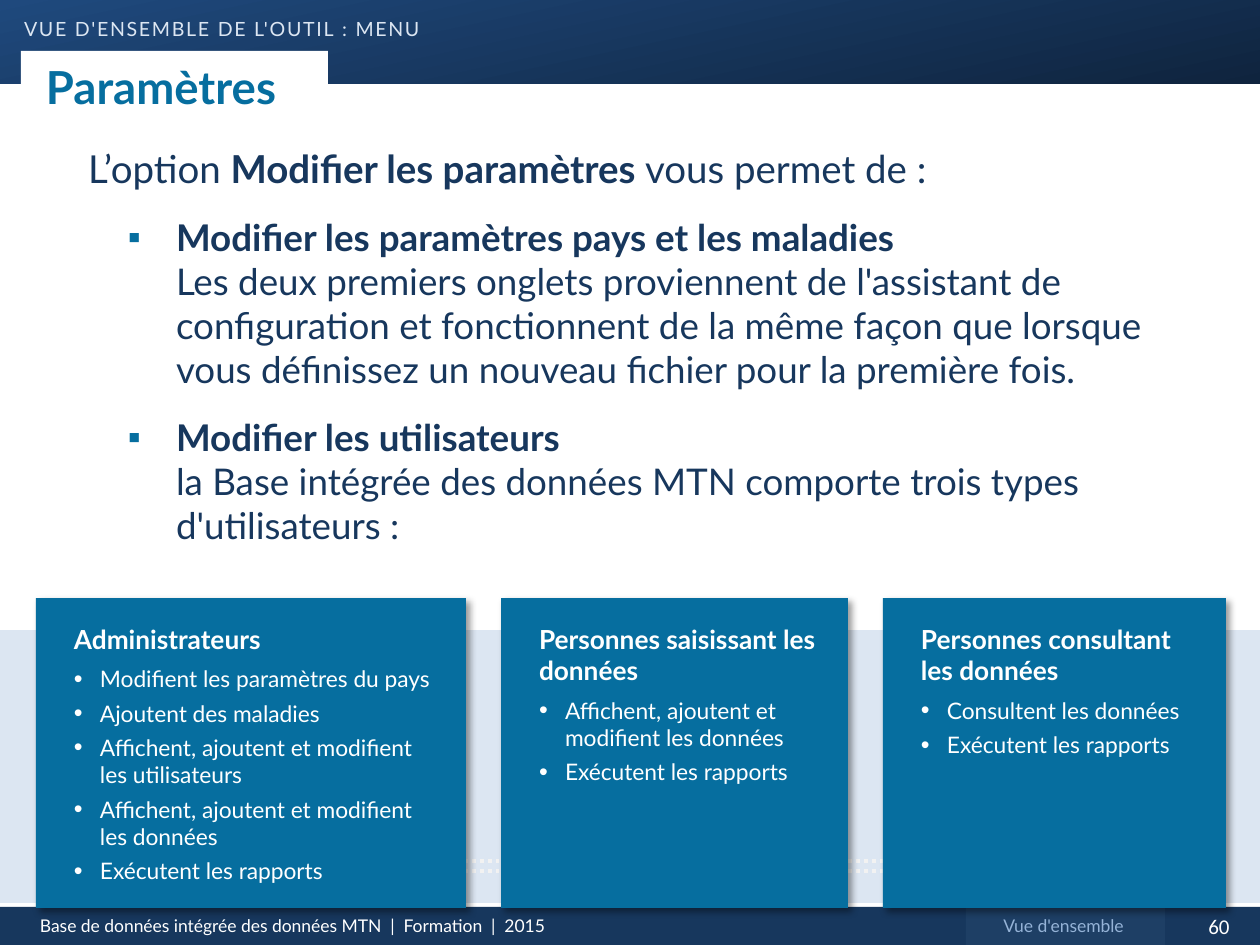
"""Build the "Paramètres" training slide."""
import pptx
import pptx.dml.color
import pptx.enum.dml
import pptx.enum.shapes
import pptx.enum.text
import pptx.oxml
import pptx.oxml.ns
import pptx.util
from lxml import etree

RGB = pptx.dml.color.RGBColor
SHAPE = pptx.enum.shapes.MSO_SHAPE
ALIGN = pptx.enum.text.PP_ALIGN
ANCHOR = pptx.enum.text.MSO_ANCHOR
Pt = pptx.util.Pt

WHITE = RGB(0xFF, 0xFF, 0xFF)
NAVY = RGB(0x17, 0x37, 0x5D)
BANNER_LIGHT = RGB(0x1F, 0x49, 0x7D)
BANNER_DARK = RGB(0x0F, 0x24, 0x3E)
SECTION_TAB = RGB(0x1E, 0x3F, 0x65)
SECTION_TEXT = RGB(0x95, 0xB3, 0xD7)
PALE = RGB(0xDC, 0xE6, 0xF2)
DOTS = RGB(0xF2, 0xF2, 0xF2)
TEAL = RGB(0x06, 0x6E, 0x9F)

CHAPTER = "vue d'ensemble de l'outil : menu"
TITLE = "Paramètres"
FOOTER = "Base de données intégrée des données MTN  |  Formation  |  2015"
SECTION = "Vue d'ensemble"
PAGE = "60"
INTRO = [("L’option ", False), ("Modifier les paramètres ", True), ("vous permet de\u00a0:", False)]
OPTIONS = [
    ("Modifier les paramètres pays et les maladies\n",
     "Les deux premiers onglets proviennent de l'assistant de configuration et fonctionnent "
     "de la même façon que lorsque vous définissez un nouveau fichier pour la première fois."),
    ("Modifier les utilisateurs \n",
     "la Base intégrée des données MTN comporte trois types d'utilisateurs\u00a0:"),
]
USERS = [
    ("Administrateurs", 430, [
        "Modifient les paramètres du pays",
        "Ajoutent des maladies",
        "Affichent, ajoutent et modifient \nles utilisateurs",
        "Affichent, ajoutent et modifient \nles données",
        "Exécutent les rapports"]),
    ("Personnes saisissant les données", 347, [
        "Affichent, ajoutent et modifient les données",
        "Exécutent les rapports"]),
    ("Personnes consultant les données", 343, [
        "Consultent les données",
        "Exécutent les rapports"]),
]
CARD_LEFT, CARD_TOP, CARD_HEIGHT, CARD_GAP = 36, 598, 310, 35


def px(length):
    return round(length * 914400 / 126)


def add_xml(parent, tag, **attributes):
    child = etree.SubElement(parent, pptx.oxml.ns.qn(tag))
    for key, value in attributes.items():
        child.set(key, str(value))
    return child


def add_block(slide, box, color=None, kind=SHAPE.RECTANGLE):
    block = slide.shapes.add_shape(kind, *map(px, box))
    block.shadow.inherit = False
    block.line.fill.background()
    if color is not None:
        block.fill.solid()
        block.fill.fore_color.rgb = color
    return block


def set_frame(frame, insets=(13, 6, 13, 6), wrap=True, anchor=ANCHOR.TOP):
    left, top, right, bottom = map(px, insets)
    settings = {"margin_left": left, "margin_top": top, "margin_right": right,
                "margin_bottom": bottom, "word_wrap": wrap, "vertical_anchor": anchor}
    for key, value in settings.items():
        setattr(frame, key, value)
    return frame


def add_text(frame, runs, size, color, font="Lato", align=ALIGN.LEFT, before=0, after=0,
             margin=0, indent=0, bullet=None, bullet_color=None, bullet_size=None):
    first = frame.paragraphs[0]
    paragraph = frame.add_paragraph() if first.runs else first
    spacing = {"alignment": align, "space_before": Pt(before), "space_after": Pt(after)}
    for key, value in spacing.items():
        setattr(paragraph, key, value)
    properties = paragraph._p.get_or_add_pPr()
    properties.set("marL", str(px(margin)))
    properties.set("indent", str(px(indent)))
    if bullet_color is not None:
        add_xml(add_xml(properties, "a:buClr"), "a:srgbClr", val=bullet_color)
    if bullet_size:
        add_xml(properties, "a:buSzPct", val=bullet_size * 1000)
    if bullet:
        add_xml(properties, "a:buFont", typeface="Arial")
        add_xml(properties, "a:buChar", char=bullet)
    for text, bold in runs:
        for number, line in enumerate(text.split("\n")):
            if number:
                paragraph.add_line_break()
            if line:
                run = paragraph.add_run()
                run.text = line
                style = {"size": Pt(size), "name": font, "bold": bold}
                for key, value in style.items():
                    setattr(run.font, key, value)
                run.font.color.rgb = color
    return paragraph


def add_label(slide, box, text, size, color, **style):
    frame = set_frame(slide.shapes.add_textbox(*map(px, box)).text_frame)
    add_text(frame, [(text, False)], size, color, **style)
    return frame


def add_master_bands(slide):
    banner = add_block(slide, (0, 0, 1261, 84))
    banner.fill.gradient()
    banner.fill.gradient_angle = 360 - 78
    for stop, color in zip(banner.fill.gradient_stops, (BANNER_LIGHT, BANNER_DARK)):
        stop.color.rgb = color
    add_block(slide, (0, 907, 1261, 40), NAVY)
    page = add_label(slide, (1178, 907, 82, 38), PAGE, 12, WHITE, font="Calibri", align=ALIGN.CENTER)
    page.vertical_anchor = ANCHOR.MIDDLE
    add_label(slide, (27, 909, 571, 34), FOOTER, 10, WHITE)
    add_block(slide, (966, 907, 199, 39), SECTION_TAB)
    add_label(slide, (966, 909, 195, 34), SECTION, 10, SECTION_TEXT, align=ALIGN.CENTER)


def add_body(slide):
    body = set_frame(slide.shapes.add_textbox(*map(px, (75, 139, 1080, 546))).text_frame)
    add_text(body, INTRO, 22, NAVY, before=4.4, after=9, margin=48, indent=-48)
    for heading, detail in OPTIONS:
        add_text(body, [(heading, True), (detail, False)], 21, NAVY, before=4.4, after=9,
                 margin=88, indent=-48, bullet="▪", bullet_color=TEAL)


def add_heading(slide):
    chapter = slide.shapes.add_textbox(*map(px, (24, 6, 496, 43))).text_frame
    set_frame(chapter, (0, 6, 0, 6), wrap=False)
    line = add_text(chapter, [(CHAPTER, False)], 14, PALE, before=2.8)
    for key, value in {"cap": "small", "spc": "100"}.items():
        line.runs[0].font._element.set(key, value)
    title = add_block(slide, (21, 51, 307, 71), WHITE, SHAPE.ROUND_2_SAME_RECTANGLE)
    title.adjustments[0] = 0
    set_frame(title.text_frame, (25, 6, 25, 6), wrap=False, anchor=ANCHOR.MIDDLE)
    add_text(title.text_frame, [(TITLE, True)], 26, TEAL)


def add_dotted_line(slide, y):
    dotted = slide.shapes.add_connector(
        pptx.enum.shapes.MSO_CONNECTOR.STRAIGHT, *map(px, (88, y, 1128, y)))
    dotted.line.color.rgb = DOTS
    dotted.line.width = Pt(2.25)
    dotted.line.dash_style = pptx.enum.dml.MSO_LINE.ROUND_DOT
    add_xml(dotted._element.spPr, "a:effectLst")


def add_cards(slide):
    left = CARD_LEFT
    for role, width, rights in USERS:
        card = add_block(slide, (left, CARD_TOP, width, CARD_HEIGHT), TEAL)
        effects = card._element.spPr.find(pptx.oxml.ns.qn("a:effectLst"))
        shadow = add_xml(effects, "a:outerShdw", blurRad=Pt(4), dist=Pt(3), dir=45 * 60000,
                         algn="tl", rotWithShape=0)
        add_xml(add_xml(shadow, "a:srgbClr", val="000000"), "a:alpha", val=40000)
        frame = set_frame(card.text_frame, (38, 25, 25, 0))
        add_text(frame, [(role, True)], 15, WHITE, after=6)
        for right in rights:
            add_text(frame, [(right, False)], 13, WHITE, after=4, margin=26, indent=-26,
                     bullet="•", bullet_size=110)
        left += width + CARD_GAP


def main():
    deck = pptx.Presentation()
    deck.slide_width, deck.slide_height = px(1260), px(945)
    slide = deck.slides.add_slide(deck.slide_layouts[6])
    add_master_bands(slide)
    add_body(slide)
    add_heading(slide)
    add_block(slide, (0, 630, 1260, 273), PALE)
    for y in (871, 861):
        add_dotted_line(slide, y)
    add_cards(slide)
    deck.save("out.pptx")


if __name__ == "__main__":
    main()
